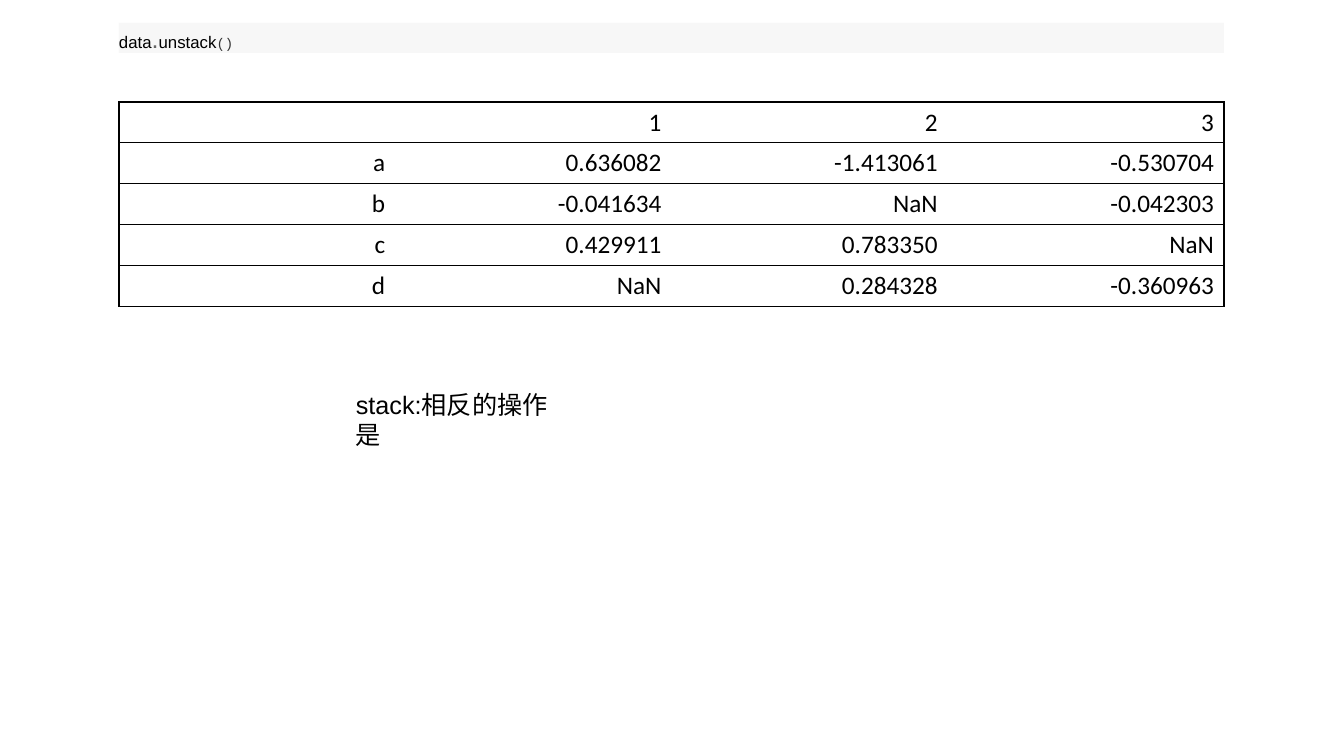
"""Build the slide showing the result of data.unstack() as a table."""
from lxml import etree
from pptx import Presentation
from pptx import util as u
from pptx.dml.color import RGBColor
from pptx.enum import shapes, text
from pptx.oxml.ns import qn

PX = 914400 / 100.8
THEME = {
    "black": "000000", "white": "FFFFFF", "code_bg": "F7F7F7",
    "operator": "666666", "bracket": "333333",
    "sans": "Arial", "table": "Calibri", "mono": "Courier New",
    "body": 18, "code": 12, "bracket_size": 10, "border": 1,
}


def px(n):
    return u.Emu(round(n * PX))


def style(r, font, size, color):
    r.font.name = THEME[font]
    r.font.size = u.Pt(THEME[size])
    r.font.color.rgb = RGBColor.from_string(THEME[color])


prs = Presentation()
prs.slide_width, prs.slide_height = px(1344), px(756)
s = prs.slides.add_slide(prs.slide_layouts[6])

sp = s.shapes.add_shape(shapes.MSO_SHAPE.RECTANGLE, px(119), px(23), px(1105), px(30))
sp.shadow.inherit = False
sp.fill.solid()
sp.fill.fore_color.rgb = RGBColor.from_string(THEME["code_bg"])
sp.line.fill.background()
tf = sp.text_frame
tf.margin_left = tf.margin_top = tf.margin_right = tf.margin_bottom = 0
tf.vertical_anchor = text.MSO_ANCHOR.MIDDLE
p = tf.paragraphs[0]
p.alignment = text.PP_ALIGN.LEFT
for token, font, size, color in [
    ("data", "sans", "code", "black"),
    (".", "sans", "body", "operator"),
    ("unstack", "sans", "code", "black"),
    ("()", "mono", "bracket_size", "bracket"),
]:
    r = p.add_run()
    r.text = token
    style(r, font, size, color)

rows = [
    ["", "1", "2", "3"],
    ["a", "0.636082", "-1.413061", "-0.530704"],
    ["b", "-0.041634", "NaN", "-0.042303"],
    ["c", "0.429911", "0.783350", "NaN"],
    ["d", "NaN", "0.284328", "-0.360963"],
]
n_cols = len(rows[0])
tbl = s.shapes.add_table(len(rows), n_cols, px(119), px(102), px(1105), px(200)).table
for i, row in enumerate(rows):
    for j, value in enumerate(row):
        cell = tbl.cell(i, j)
        cell.vertical_anchor = text.MSO_ANCHOR.MIDDLE
        p = cell.text_frame.paragraphs[0]
        p.text = value
        p.alignment = text.PP_ALIGN.RIGHT
        for r in p.runs:
            style(r, "table", "body", "black")
        tc_pr = cell._tc.get_or_add_tcPr()
        sides = {"L": j == 0, "R": j == n_cols - 1, "T": True, "B": True}
        for side, visible in sides.items():
            ln = etree.SubElement(tc_pr, qn("a:ln" + side), w=str(u.Pt(THEME["border"])))
            fill = etree.SubElement(ln, qn("a:solidFill" if visible else "a:noFill"))
            if visible:
                etree.SubElement(fill, qn("a:srgbClr"), val=THEME["black"])
        cell.fill.solid()
        cell.fill.fore_color.rgb = RGBColor.from_string(THEME["white"])

tf = s.shapes.add_textbox(px(346), px(384), px(234), px(40)).text_frame
tf.word_wrap = True
tf.auto_size = text.MSO_AUTO_SIZE.SHAPE_TO_FIT_TEXT
tf.text = "stack:相反的操作是"
style(tf.paragraphs[0].runs[0], "sans", "body", "black")

prs.save("out.pptx")
